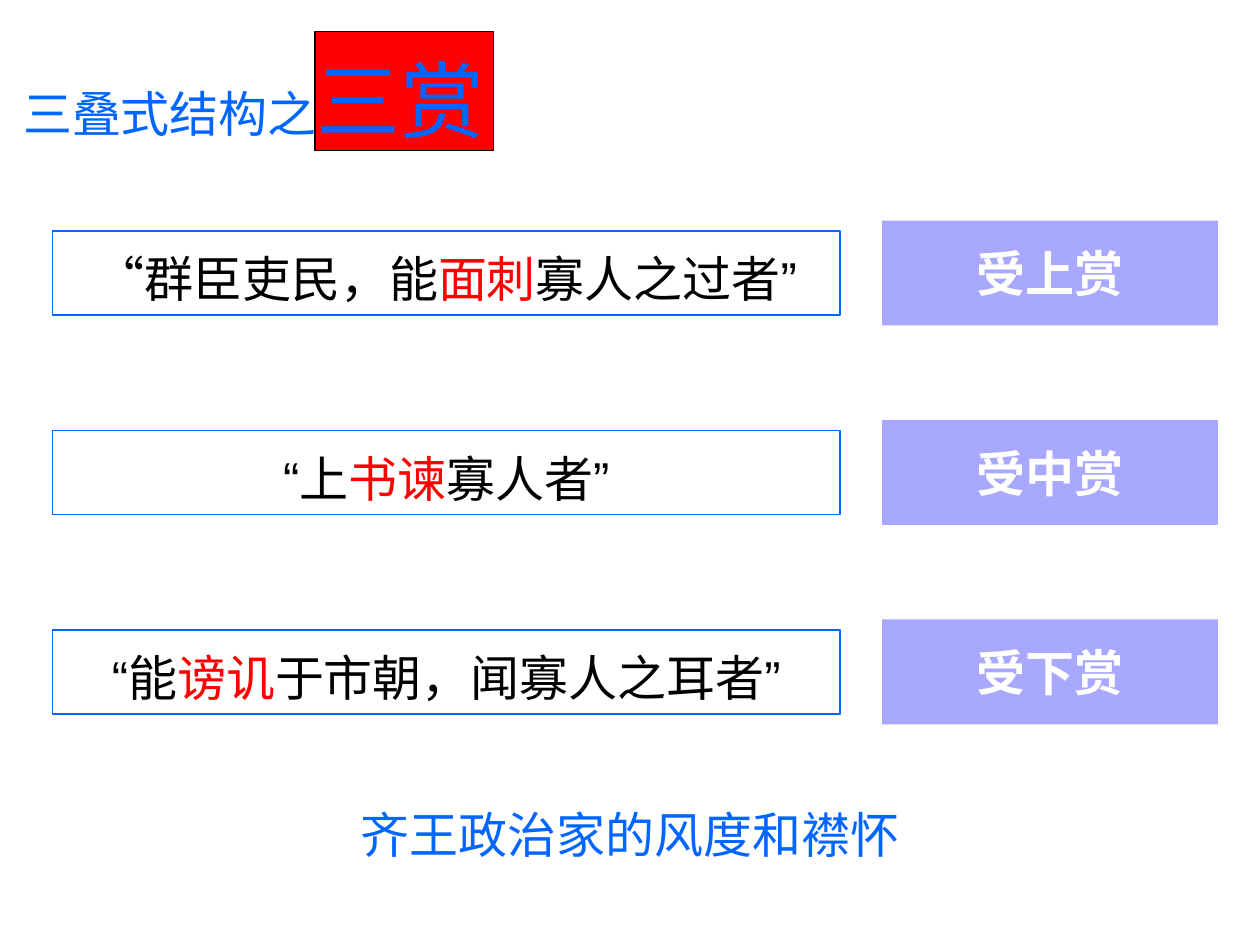
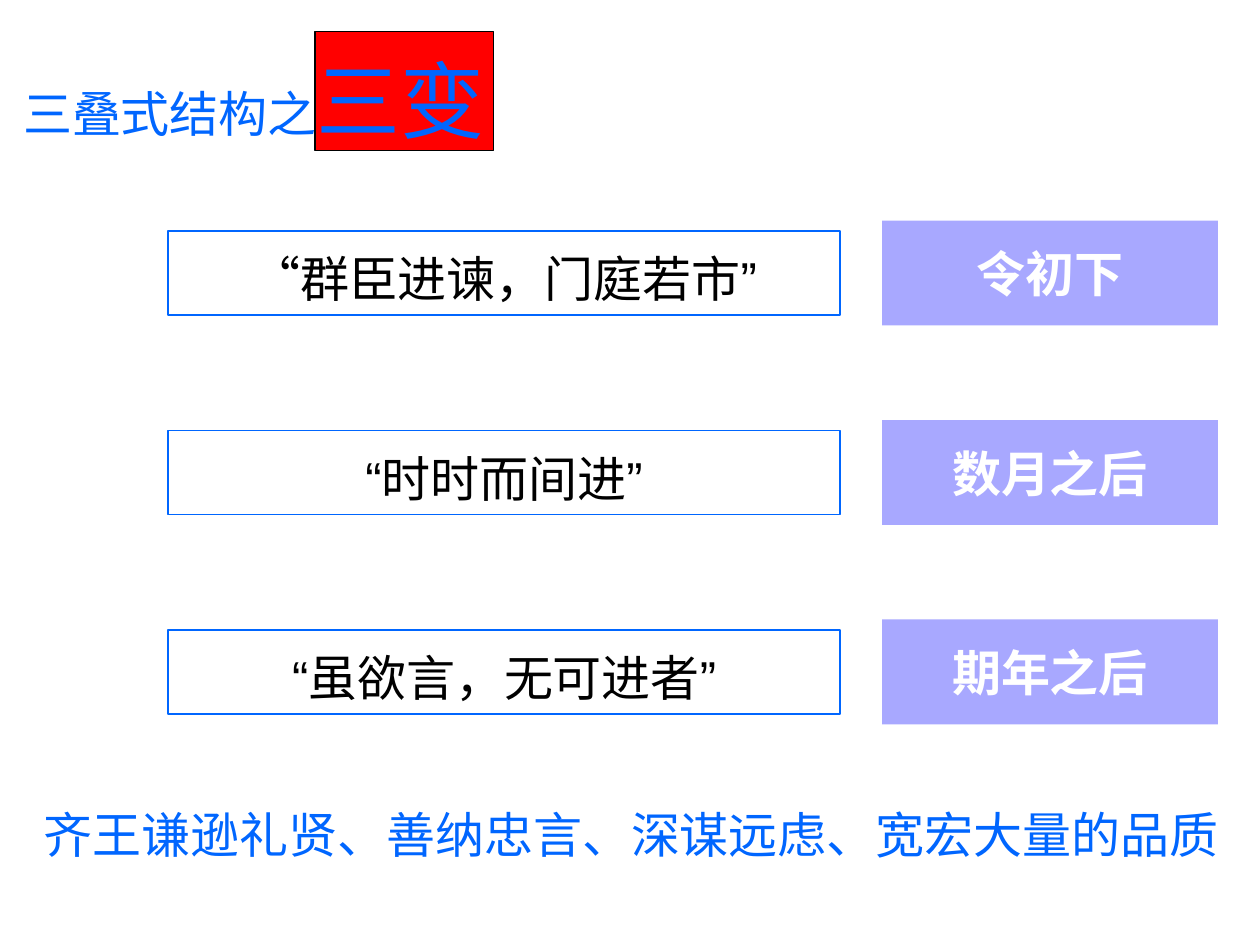
from lxml.etree import SubElement
from pptx import Presentation
from pptx.dml.color import RGBColor
from pptx.enum.shapes import MSO_SHAPE as Preset
from pptx.enum.text import MSO_ANCHOR as Anchor, MSO_AUTO_SIZE as AutoSize, PP_ALIGN as Align
from pptx.oxml.ns import qn
from pptx.util import Pt

BLUE, RED, BLACK, WHITE, VIOLET = "0066FF", "FF0000", "000000", "FFFFFF", "0000FF"
HEAD_FONT, QUOTE_FONT, BODY_FONT = "Noto Sans CJK JP", "Noto Sans CJK SC", "Arial"
SIZE = 28
ROW_TOP, ROW_STEP = 126, 114
QUOTE_HEIGHT, LABEL_HEIGHT = 48, 60
QUOTE_RIGHT, LABEL_LEFT, LABEL_WIDTH = 480, 504, 192
SUMMARY_TOP, SUMMARY_HEIGHT = 456, 41

SLIDES = [
    dict(
        topic="三赏",
        quote_left=30,
        rows=[
            ([("“", BLACK, QUOTE_FONT), ("群臣吏民，能", BLACK), ("面刺", RED),
              ("寡人之过者”", BLACK)], "受上赏"),
            ([("“上", BLACK), ("书谏", RED), ("寡人者”", BLACK)], "受中赏"),
            ([("“能", BLACK), ("谤讥", RED), ("于市朝，闻寡人之耳者”", BLACK)], "受下赏"),
        ],
        summary=("齐王政治家的风度和襟怀", 138, 444, Align.CENTER),
    ),
    dict(
        topic="三变",
        quote_left=96,
        rows=[
            ([("“", BLACK, QUOTE_FONT), ("群臣进谏，门庭若市”", BLACK)], "令初下"),
            ([("“时时而间进”", BLACK)], "数月之后"),
            ([("“虽欲言，无可进者”", BLACK)], "期年之后"),
        ],
        summary=("齐王谦逊礼贤、善纳忠言、深谋远虑、宽宏大量的品质", 18, 702, Align.LEFT),
    ),
]


def rgb(value):
    return RGBColor.from_string(value)


def add_text(paragraph, text, size=SIZE, color=BLACK, font=BODY_FONT, bold=False):
    run = paragraph.add_run()
    run.text = text
    run.font.size = Pt(size)
    run.font.bold = bold
    run.font.name = font
    run.font.color.rgb = rgb(color)
    SubElement(run.font._element, qn("a:ea"), typeface=font)


def first_paragraph(shape, align, before=0, spacing=1.0, anchor=Anchor.TOP, wrap=True):
    frame = shape.text_frame
    frame.word_wrap = wrap
    frame.vertical_anchor = anchor
    paragraph = frame.paragraphs[0]
    paragraph.alignment = align
    paragraph.space_before = Pt(before)
    paragraph.line_spacing = spacing
    return paragraph


def add_box(slide, left, top, width, height, fill=None, line=None, opacity=None):
    box = slide.shapes.add_shape(Preset.RECTANGLE, Pt(left), Pt(top), Pt(width), Pt(height))
    box.shadow.inherit = False
    if fill:
        box.fill.solid()
        box.fill.fore_color.rgb = rgb(fill)
        if opacity:
            color = box._element.spPr.find(qn("a:solidFill"))[0]
            SubElement(color, qn("a:alpha"), val=str(opacity * 1000))
    else:
        box.fill.background()
    if line:
        box.line.color.rgb = rgb(line)
        box.line.width = Pt(0.75)
    else:
        box.line.fill.background()
    return box


def add_heading(slide, topic, left=6, top=6, width=312, height=90):
    plate = add_box(slide, left + 174, top + 12, 102, 68, fill=RED, line=BLACK)
    title = slide.shapes.title
    title._element.addprevious(plate._element)
    title.left, title.top, title.width, title.height = Pt(left), Pt(top), Pt(width), Pt(height)
    title.text_frame.auto_size = AutoSize.NONE
    paragraph = first_paragraph(title, Align.LEFT, before=11.9, spacing=1.2, anchor=Anchor.MIDDLE)
    for text, size in (("三叠式结构之", SIZE), (topic, 48), (" ", 19)):
        add_text(paragraph, text, size=size, color=BLUE, font=HEAD_FONT)


def add_quote(slide, parts, left, top):
    quote = add_box(slide, left, top, QUOTE_RIGHT - left, QUOTE_HEIGHT, line=BLUE)
    paragraph = first_paragraph(quote, Align.CENTER, before=7, spacing=1.2)
    for text, color, *font in parts:
        add_text(paragraph, text, color=color, font=font[0] if font else BODY_FONT)


def add_label(slide, text, left, top):
    label = add_box(slide, left, top, LABEL_WIDTH, LABEL_HEIGHT, fill=VIOLET, opacity=34)
    paragraph = first_paragraph(label, Align.CENTER, anchor=Anchor.MIDDLE, wrap=False)
    add_text(paragraph, text, color=WHITE, bold=True)


def add_summary(slide, text, left, width, align):
    summary = slide.shapes.add_textbox(Pt(left), Pt(SUMMARY_TOP), Pt(width), Pt(SUMMARY_HEIGHT))
    summary.text_frame.auto_size = AutoSize.SHAPE_TO_FIT_TEXT
    paragraph = first_paragraph(summary, align, before=17.5)
    add_text(paragraph, text, color=BLUE, font=HEAD_FONT)


def add_threefold_slide(deck, topic, quote_left, rows, summary):
    slide = deck.slides.add_slide(deck.slide_layouts[5])
    add_heading(slide, topic)
    tops = [ROW_TOP + ROW_STEP * index for index in range(len(rows))]
    for (parts, _), top in zip(rows, tops):
        add_quote(slide, parts, quote_left, top + (LABEL_HEIGHT - QUOTE_HEIGHT) / 2)
    for (_, label), top in zip(rows, tops):
        add_label(slide, label, LABEL_LEFT, top)
    add_summary(slide, *summary)


def main():
    deck = Presentation()
    deck.slide_width, deck.slide_height = Pt(720), Pt(540)
    for content in SLIDES:
        add_threefold_slide(deck, **content)
    deck.save("out.pptx")


if __name__ == "__main__":
    main()
